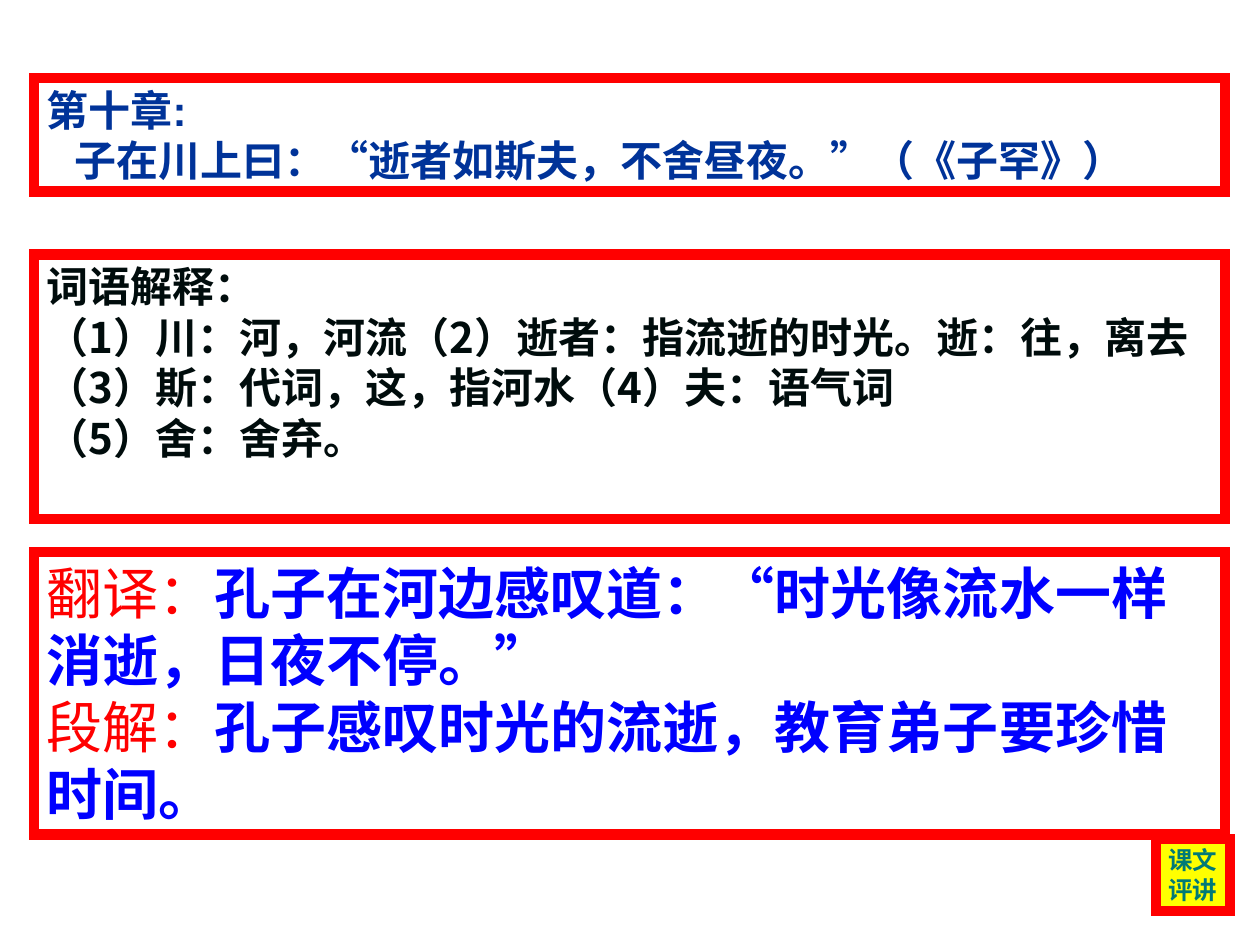
from lxml import etree
from pptx import Presentation
from pptx.dml.color import RGBColor
from pptx.enum.lang import MSO_LANGUAGE_ID
from pptx.enum.shapes import MSO_SHAPE
from pptx.enum.text import MSO_ANCHOR, MSO_AUTO_SIZE, PP_ALIGN
from pptx.oxml.ns import qn
from pptx.util import Pt

RECT = MSO_SHAPE.RECTANGLE
TOP = MSO_ANCHOR.TOP
LEFT = PP_ALIGN.LEFT
GROW = MSO_AUTO_SIZE.SHAPE_TO_FIT_TEXT
CHINESE = MSO_LANGUAGE_ID.SIMPLIFIED_CHINESE

RED = RGBColor(0xFF, 0x00, 0x00)
BLUE = RGBColor(0x00, 0x00, 0xFF)
NAVY = RGBColor(0x00, 0x33, 0x99)
INK = RGBColor(0x00, 0x0C, 0x0C)
TEAL = RGBColor(0x00, 0x7A, 0x77)
YELLOW = RGBColor(0xFF, 0xFF, 0x00)

SANS = "Noto Sans CJK SC"
LATIN = "Arial"
BOX_X, BOX_W = 19.5, 680.4


class Deck:
    border = RED
    border_width = 6

    def __init__(self):
        self.prs = Presentation()
        self.prs.slide_width, self.prs.slide_height = Pt(720), Pt(540)
        self.s = self.prs.slides.add_slide(self.prs.slide_layouts[6])

    def frame(self, x, y, w, h, fill=None, wrap=True):
        sp = self.s.shapes.add_shape(RECT, Pt(x), Pt(y), Pt(w), Pt(h))
        sp.shadow.inherit = False
        if fill is None:
            sp.fill.background()
        else:
            sp.fill.solid()
            sp.fill.fore_color.rgb = fill
        sp.line.color.rgb = self.border
        sp.line.width = Pt(self.border_width)
        ln = sp.line._get_or_add_ln()
        etree.SubElement(ln, qn("a:miter")).set("lim", "800000")
        tf = sp.text_frame
        tf.word_wrap = wrap
        tf.auto_size = GROW
        tf.vertical_anchor = TOP
        return tf

    def style(self, r, size, color, bold, font):
        r.font.size = Pt(size)
        r.font.bold = bold
        r.font.name = font
        r.font.color.rgb = color
        r.font.language_id = CHINESE
        etree.SubElement(r.font._element, qn("a:ea")).set("typeface", SANS)

    def lines(self, tf, texts, size, color, font):
        tf.text = "\n".join(texts)
        for p in tf.paragraphs:
            p.alignment = LEFT
            self.style(p.runs[0], size, color, True, font)

    def labelled(self, tf, items, size):
        for i, (label, body) in enumerate(items):
            p = tf.add_paragraph() if i else tf.paragraphs[0]
            p.alignment = LEFT
            for text, color, bold in ((label, RED, False), (body, BLUE, True)):
                r = p.add_run()
                r.text = text
                self.style(r, size, color, bold, SANS)

    def indent(self, p, left):
        p._p.get_or_add_pPr().set("marL", str(Pt(left)))


def main():
    deck = Deck()

    translation = deck.frame(BOX_X, 315.5, BOX_W, 161.5)
    deck.labelled(translation, [
        ("翻译：", "孔子在河边感叹道：“时光像流水一样消逝，日夜不停。”"),
        ("段解：", "孔子感叹时光的流逝，教育弟子要珍惜时间。"),
    ], 32)

    chapter = deck.frame(BOX_X, 44.5, BOX_W, 65)
    deck.lines(chapter, [
        "第十章:",
        "子在川上曰：“逝者如斯夫，不舍昼夜。”（《子罕》）",
    ], 24, NAVY, LATIN)
    deck.indent(chapter.paragraphs[1], 16)

    glossary = deck.frame(BOX_X, 145.5, BOX_W, 151)
    deck.lines(glossary, [
        "词语解释：",
        "（1）川：河，河流（2）逝者：指流逝的时光。逝：往，离去",
        "（3）斯：代词，这，指河水（4）夫：语气词",
        "（5）舍：舍弃。",
    ], 24, INK, SANS)

    button = deck.frame(660.5, 479.5, 42.5, 41, YELLOW, wrap=False)
    deck.lines(button, ["课文", "评讲"], 14, TEAL, LATIN)

    deck.prs.save("out.pptx")


if __name__ == "__main__":
    main()
